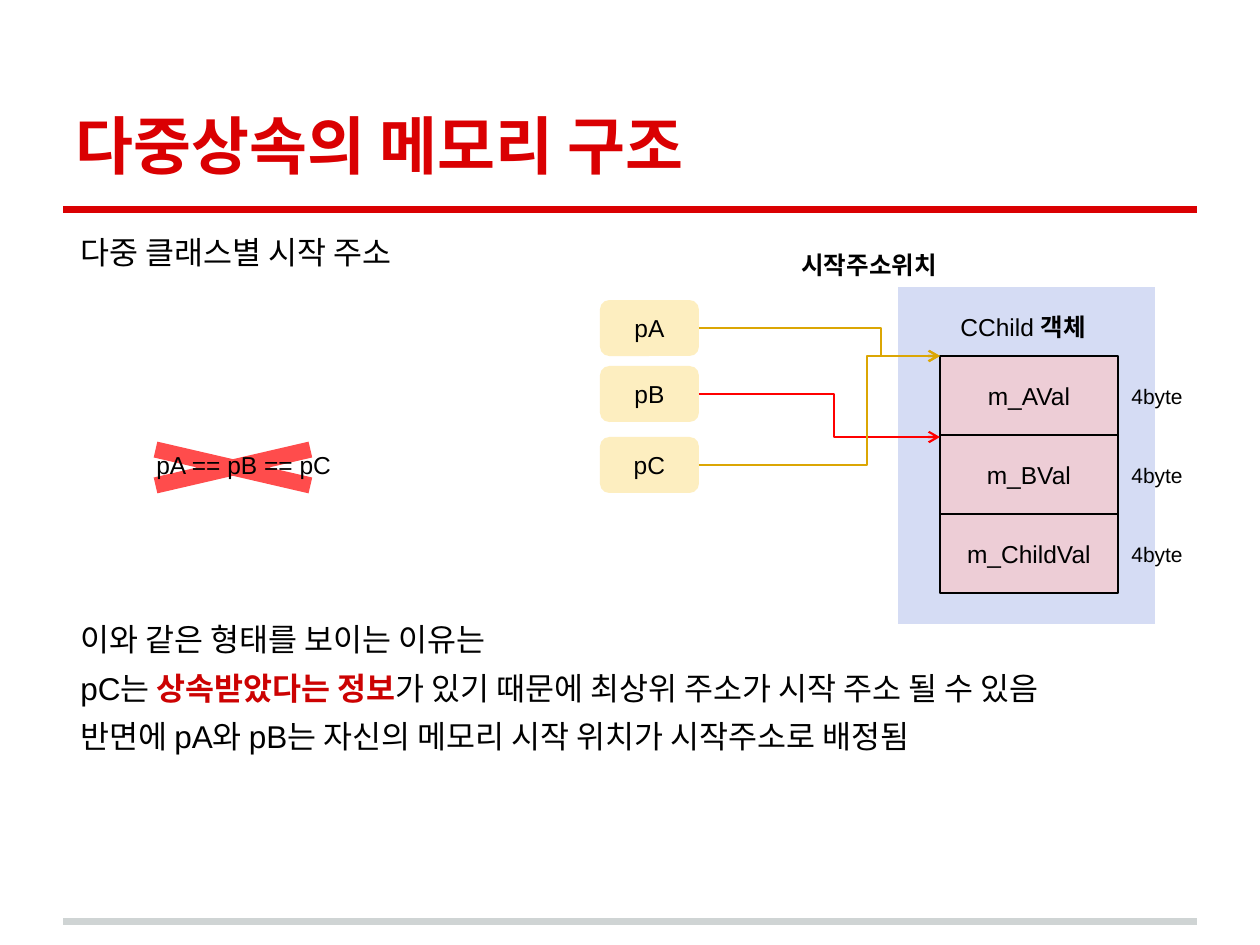
from lxml.etree import SubElement
from pptx import Presentation
from pptx.dml.color import RGBColor
from pptx.enum.shapes import MSO_CONNECTOR, MSO_SHAPE
from pptx.enum.text import MSO_ANCHOR, PP_ALIGN
from pptx.oxml.ns import qn
from pptx.util import Emu, Pt

SCALE = 914400 / 126
BLACK, RED, GOLD = "000000", "FF0000", "DBA604"


def add_runs(paragraph, runs, size):
    for text, color, bold in runs:
        run = paragraph.add_run()
        run.text = text
        run.font.name = "Arial"
        run.font.size = Pt(size)
        run.font.bold = bold
        run.font.color.rgb = RGBColor.from_string(color)


def px(*lengths):
    return [Emu(round(length * SCALE)) for length in lengths]


presentation = Presentation()
presentation.slide_width, presentation.slide_height = px(1260, 945)
slide = presentation.slides.add_slide(presentation.slide_layouts[5])
shapes = slide.shapes

title = shapes.title
title.left, title.top, title.width, title.height = px(63, 38, 1134, 157)
title_frame = title.text_frame
title_frame.word_wrap = True
title_frame.vertical_anchor = MSO_ANCHOR.BOTTOM
title_frame.margin_left = title_frame.margin_right = Pt(7.2)
title_frame.margin_top = title_frame.margin_bottom = Pt(7.2)
title_frame.paragraphs[0].alignment = PP_ALIGN.LEFT
add_runs(title_frame.paragraphs[0], [("다중상속의 메모리 구조", "DA0002", True)], 36)

body_frame = shapes.add_textbox(*px(63, 220, 1153, 684)).text_frame
body_frame.word_wrap = True
body_frame.margin_top = body_frame.margin_bottom = Pt(7.2)
body_lines = [
    (0, [("다중 클래스별 시작 주소", BLACK, False)]),
    (200, [("이와 같은 형태를 보이는 이유는", BLACK, False)]),
    (6, [("pC는 ", BLACK, False), ("상속받았다는 정보", "CC0202", True),
         ("가 있기 때문에 최상위 주소가 시작 주소 될 수 있음", BLACK, False)]),
    (6, [("반면에 pA와 pB는 자신의 메모리 시작 위치가 시작주소로 배정됨", BLACK, False)]),
]
for index, (space_before, runs) in enumerate(body_lines):
    paragraph = body_frame.add_paragraph() if index else body_frame.paragraphs[0]
    paragraph.space_before = Pt(space_before)
    properties = paragraph._p.get_or_add_pPr()
    properties.set("marL", str(px(5)[0]))
    properties.set("indent", "0")
    add_runs(paragraph, runs, 18)

boxes = [(MSO_SHAPE.RECTANGLE, 898, 287, 257, 337, "96A8E4", 40, "")]
for row, member in enumerate(["m_AVal", "m_BVal", "m_ChildVal"]):
    boxes.append((MSO_SHAPE.RECTANGLE, 940, 356 + 79 * row, 178, 79, "FEC3C3", 60, member))
for pointer, top in [("pA", 300), ("pB", 366), ("pC", 437)]:
    boxes.append((MSO_SHAPE.ROUNDED_RECTANGLE, 600, top, 99, 56, "FDDE82", 50, pointer))
boxes.append((MSO_SHAPE.MATH_MULTIPLY, 84, 433, 298, 69, RED, 70, ""))

for kind, left, top, width, height, color, opacity, text in boxes:
    shape = shapes.add_shape(kind, *px(left, top, width, height))
    shape.shadow.inherit = False
    shape.fill.solid()
    shape.fill.fore_color.rgb = RGBColor.from_string(color)
    fill_color = shape._element.spPr.find(qn("a:solidFill"))[0]
    SubElement(fill_color, qn("a:alpha")).set("val", str(opacity * 1000))
    if text.startswith("m_"):
        shape.line.color.rgb = RGBColor.from_string(BLACK)
        shape.line.width = Pt(1)
    else:
        shape.line.fill.background()
    if text:
        shape.text_frame.vertical_anchor = MSO_ANCHOR.MIDDLE
        shape.text_frame.paragraphs[0].alignment = PP_ALIGN.CENTER
        add_runs(shape.text_frame.paragraphs[0], [(text, BLACK, False)], 14)

labels = [
    (948, 306, 160, 43, 14, [("CChild ", BLACK, False), ("객체", BLACK, True)]),
    (789, 244, 171, 43, 14, [("시작주소위치", BLACK, True)]),
    (144, 444, 203, 43, 14, [("pA == pB == pC", BLACK, False)]),
]
for row in range(3):
    labels.append((1119, 377 + 79 * row, 77, 38, 12, [("4byte", BLACK, False)]))
for left, top, width, height, size, runs in labels:
    label_frame = shapes.add_textbox(*px(left, top, width, height)).text_frame
    label_frame.word_wrap = False
    add_runs(label_frame.paragraphs[0], runs, size)

lines = [
    (63, 922, 1197, 922, "CFD4D4", 4, None),
    (63, 210, 1197, 210, "DA0002", 4, None),
    (699, 328, 940, 356, GOLD, 1.25, 75700),
    (699, 394, 940, 437, RED, 1.25, 55900),
    (699, 465, 940, 356, GOLD, 1.25, 69700),
]
for start_x, start_y, end_x, end_y, color, width, bend in lines:
    kind = MSO_CONNECTOR.ELBOW if bend else MSO_CONNECTOR.STRAIGHT
    connector = shapes.add_connector(kind, *px(start_x, start_y, end_x, end_y))
    connector.line.color.rgb = RGBColor.from_string(color)
    connector.line.width = Pt(width)
    properties = connector._element.spPr
    SubElement(properties, qn("a:effectLst"))
    if bend:
        guides = properties.find(qn("a:prstGeom")).get_or_add_avLst()
        guide = SubElement(guides, qn("a:gd"))
        guide.set("name", "adj1")
        guide.set("fmla", f"val {bend}")
        SubElement(properties.find(qn("a:ln")), qn("a:tailEnd")).set("type", "arrow")

presentation.save("out.pptx")
